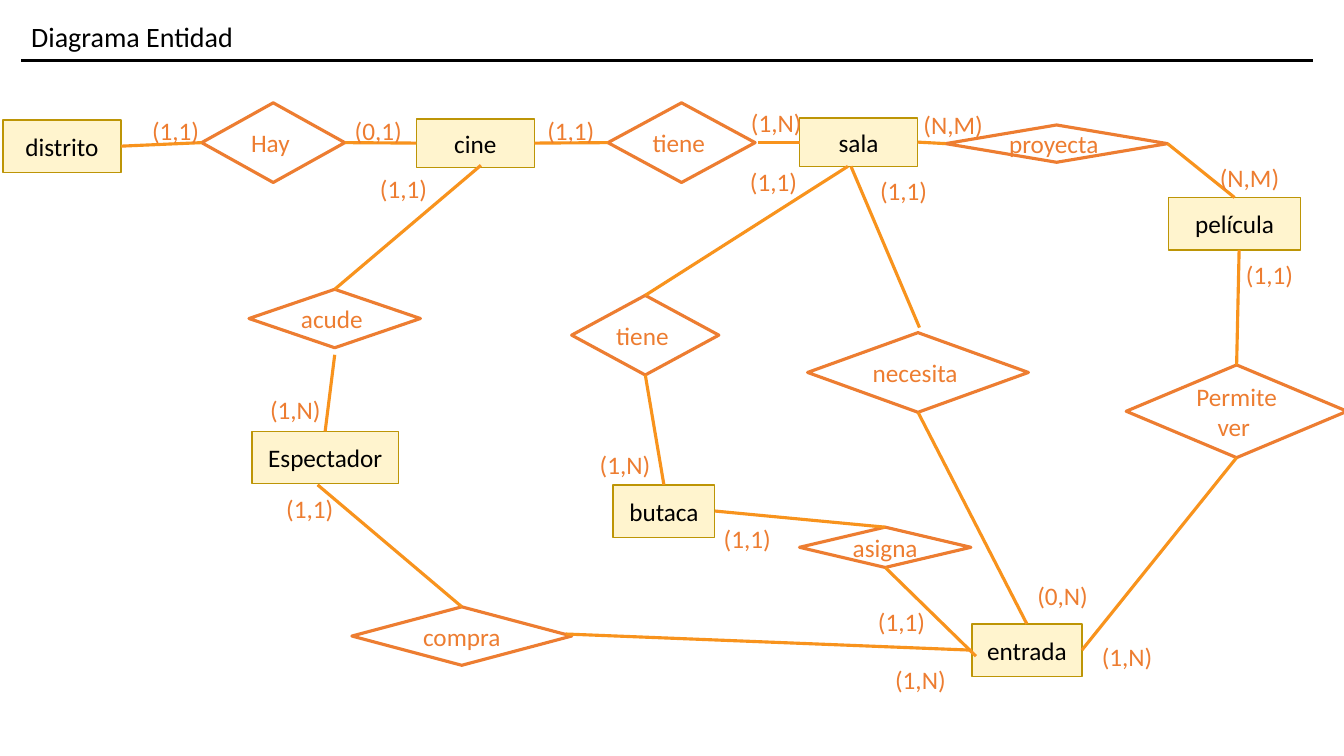
from lxml.etree import SubElement
from pptx import Presentation
from pptx.dml.color import RGBColor
from pptx.enum.shapes import MSO_CONNECTOR, MSO_SHAPE
from pptx.enum.text import MSO_ANCHOR, PP_ALIGN
from pptx.oxml.ns import qn
from pptx.util import Inches, Pt

BLACK = RGBColor(0x00, 0x00, 0x00)
CREAM = RGBColor(0xFF, 0xF4, 0xCE)
GOLD = RGBColor(0xBD, 0x95, 0x06)
ORANGE = RGBColor(0xED, 0x7D, 0x31)
LINK = RGBColor(0xF8, 0x93, 0x1D)
TOP, LEFT, BOTTOM, RIGHT = range(4)


class EntityDiagram:
    """Draws entities, relations, links and labels on one slide."""

    font = "Calibri"
    size = 18

    def __init__(self, slide):
        self.shapes = slide.shapes

    def put_text(self, frame, text, color, size=size, align=PP_ALIGN.LEFT):
        frame.word_wrap = True
        paragraph = frame.paragraphs[0]
        paragraph.alignment = align
        run = paragraph.add_run()
        run.text = text
        run.font.name = self.font
        run.font.size = Pt(size)
        run.font.color.rgb = color

    def node(self, preset, box, text, text_color, border, width):
        shape = self.shapes.add_shape(preset, *map(Inches, box))
        shape.shadow.inherit = False
        shape.line.color.rgb = border
        shape.line.width = Pt(width)
        shape.text_frame.vertical_anchor = MSO_ANCHOR.MIDDLE
        self.put_text(shape.text_frame, text, text_color, align=PP_ALIGN.CENTER)
        return shape

    def entity(self, text, *box):
        shape = self.node(MSO_SHAPE.RECTANGLE, box, text, BLACK, GOLD, 1)
        shape.fill.solid()
        shape.fill.fore_color.rgb = CREAM
        return shape

    def relation(self, text, *box):
        shape = self.node(MSO_SHAPE.DIAMOND, box, text, ORANGE, ORANGE, 2.25)
        shape.fill.background()
        shape.text_frame.margin_left = shape.text_frame.margin_right = 0
        return shape

    def label(self, text, left, top, width=0.76, height=0.4, color=ORANGE, size=size):
        box = self.shapes.add_textbox(*map(Inches, (left, top, width, height)))
        self.put_text(box.text_frame, text, color, size)

    def link(self, start, end, color=LINK, width=2.25):
        """Joins two ends, each a point or a (shape, side) pair."""
        joined = [not isinstance(place[0], (int, float)) for place in (start, end)]
        begin_at, end_at = [(0, 0) if fixed else place
                            for fixed, place in zip(joined, (start, end))]
        line = self.shapes.add_connector(
            MSO_CONNECTOR.STRAIGHT, *map(Inches, (*begin_at, *end_at)))
        if joined[0]:
            line.begin_connect(*start)
        if joined[1]:
            line.end_connect(*end)
        line.line.color.rgb = color
        line.line.width = Pt(width)
        SubElement(line._element.spPr, qn("a:effectLst"))


def main():
    deck = Presentation()
    deck.slide_width, deck.slide_height = Inches(13.33), Inches(7.5)
    diagram = EntityDiagram(deck.slides.add_slide(deck.slide_layouts[6]))

    diagram.link((0.21, 0.6), (13.02, 0.6), BLACK, 1.5)
    diagram.label("Diagrama Entidad", 0.21, 0.14, 3.85, 0.44, BLACK, 20)

    distrito = diagram.entity("distrito", 0.03, 1.19, 1.17, 0.52)
    cine = diagram.entity("cine", 4.13, 1.18, 1.17, 0.48)
    sala = diagram.entity("sala", 7.93, 1.17, 1.17, 0.48)
    espectador = diagram.entity("Espectador", 2.5, 4.28, 1.45, 0.52)
    pelicula = diagram.entity("película", 11.59, 1.96, 1.31, 0.52)
    entrada = diagram.entity("entrada", 9.64, 6.19, 1.09, 0.52)
    butaca = diagram.entity("butaca", 6.08, 4.81, 1.01, 0.52)

    hay = diagram.relation("Hay ", 2, 1.02, 1.42, 0.79)
    tiene_sala = diagram.relation("tiene ", 6.03, 1.02, 1.46, 0.79)
    proyecta = diagram.relation("proyecta ", 9.38, 1.24, 2.2, 0.37)
    acude = diagram.relation("acude ", 2.47, 2.87, 1.7, 0.58)
    necesita = diagram.relation("necesita ", 8.01, 3.3, 2.19, 0.79)
    tiene_butaca = diagram.relation("tiene ", 5.67, 2.93, 1.46, 0.79)
    permite_ver = diagram.relation("Permite ver ", 11.17, 3.62, 2.19, 0.92)
    asigna = diagram.relation("asigna", 7.93, 5.23, 1.7, 0.4)
    compra = diagram.relation("compra", 3.49, 6.02, 2.18, 0.58)

    for start, end in (
        ((hay, LEFT), (distrito, RIGHT)),
        ((cine, LEFT), (hay, RIGHT)),
        ((tiene_sala, LEFT), (cine, RIGHT)),
        ((sala, LEFT), (7.52, 1.41)),
        ((proyecta, LEFT), (sala, RIGHT)),
        ((pelicula, TOP), (proyecta, RIGHT)),
        ((acude, TOP), (4.77, 1.64)),
        ((3.32, 3.52), (espectador, TOP)),
        ((3.15, 4.81), (compra, TOP)),
        ((entrada, LEFT), (5.61, 6.29)),
        ((8.41, 1.65), (tiene_butaca, TOP)),
        ((tiene_butaca, BOTTOM), (butaca, TOP)),
        ((asigna, TOP), (butaca, RIGHT)),
        ((9.68, 6.51), (asigna, BOTTOM)),
        ((8.44, 1.65), (9.12, 3.25)),
        ((necesita, BOTTOM), (entrada, TOP)),
        ((12.29, 2.48), (permite_ver, TOP)),
        ((permite_ver, BOTTOM), (entrada, RIGHT)),
    ):
        diagram.link(start, end)

    cardinalities = {
        "(0,1)": [(3.42, 1.09)],
        "(0,N)": [(10.19, 5.71)],
        "(1,1)": [(1.41, 1.09), (5.33, 1.09), (3.67, 1.67), (7.34, 1.6), (8.63, 1.69),
                  (12.26, 2.52), (7.08, 5.14), (8.61, 5.97), (2.74, 4.84)],
        "(1,N)": [(7.35, 1.02), (2.58, 3.86), (5.85, 4.41), (10.83, 6.31), (8.78, 6.54)],
        "(N,M)": [(12, 1.56, 0.92), (9.06, 1.04, 0.92)],
    }
    for cardinality, places in cardinalities.items():
        for place in places:
            diagram.label(cardinality, *place)

    deck.save("out.pptx")


if __name__ == "__main__":
    main()
